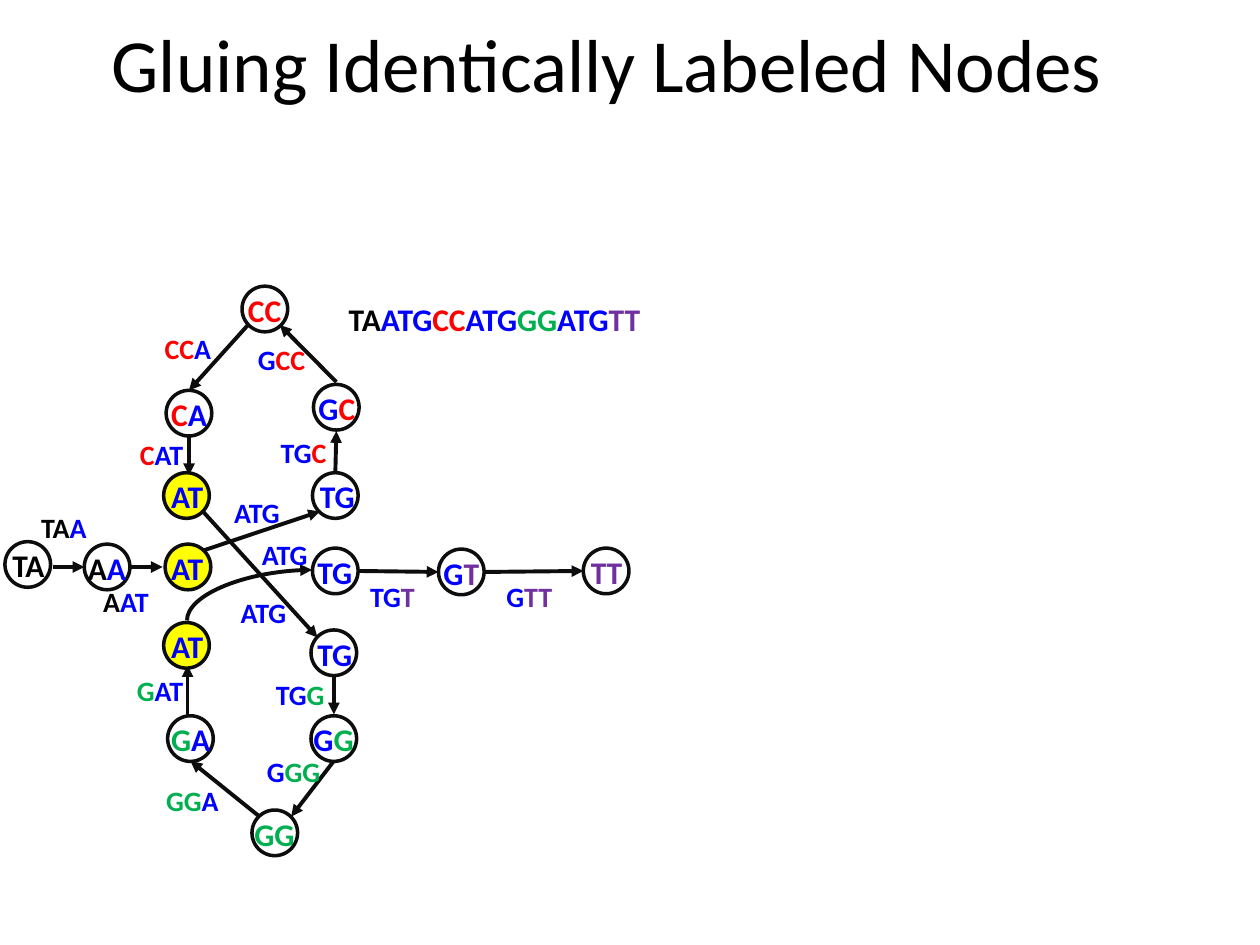
import itertools

import pptx
import pptx.dml.color
import pptx.enum.shapes
import pptx.enum.text
import pptx.oxml
import pptx.oxml.ns
import pptx.util

Cm = pptx.util.Cm
Pt = pptx.util.Pt
RGBColor = pptx.dml.color.RGBColor

BLACK = RGBColor(0x00, 0x00, 0x00)
INK = RGBColor(0x0D, 0x0D, 0x0D)
BLUE = RGBColor(0x00, 0x00, 0xFF)
RED = RGBColor(0xFF, 0x00, 0x00)
GREEN = RGBColor(0x00, 0xB0, 0x50)
PURPLE = RGBColor(0x70, 0x30, 0xA0)
YELLOW = RGBColor(0xFF, 0xFF, 0x00)
COLORS = {"k": BLACK, "b": BLUE, "r": RED, "g": GREEN, "p": PURPLE}

FONT = "Calibri"
NODE_SIZE = 0.92
NODE_FORMAT = {"name": FONT, "size": Pt(18), "bold": True}
EDGE_FORMAT = {"name": FONT, "size": Pt(16), "bold": True}
TITLE_FORMAT = {"name": FONT, "size": Pt(42.9), "bold": False}

# text, colour of each letter, circle left, circle top, text left, text width, fill
NODES = [
    ("TA", "kk", 0.1, 10.92, 0, 1.22, None),
    ("AA", "kb", 1.7, 10.97, 1.52, 1.3, None),
    ("AT", "bb", 3.33, 10.97, 3.2, 1.22, YELLOW),
    ("TG", "bb", 6.3, 9.53, 6.2, 1.24, None),
    ("GC", "br", 6.32, 7.75, 6.17, 1.27, None),
    ("CC", "rr", 4.88, 5.77, 4.75, 1.19, None),
    ("CA", "rb", 3.35, 7.87, 3.2, 1.24, None),
    ("AT", "bb", 3.3, 9.53, 3.2, 1.22, YELLOW),
    ("TG", "bb", 6.27, 12.7, 6.15, 1.24, None),
    ("GG", "bg", 6.27, 14.43, 6.07, 1.32, None),
    ("GG", "gg", 5.08, 16.33, 4.88, 1.32, None),
    ("GA", "gb", 3.38, 14.43, 3.2, 1.32, None),
    ("AT", "bb", 3.3, 12.55, 3.2, 1.22, YELLOW),
    ("TG", "bb", 6.3, 11.05, 6.15, 1.24, None),
    ("GT", "bp", 8.84, 11.07, 8.69, 1.24, None),
    ("TT", "pp", 11.76, 11.05, 11.66, 1.14, None),
]

# text, colour of each letter, left, top, width
EDGE_LABELS = [
    ("TAA", "kkb", 0.58, 10.16, 1.5),
    ("AAT", "kbb", 1.83, 11.66, 1.5),
    ("ATG", "bbb", 4.47, 9.86, 1.5),
    ("TGC", "bbr", 5.41, 8.66, 1.47),
    ("GCC", "brr", 4.95, 6.78, 1.47),
    ("CCA", "rrb", 3.07, 6.55, 1.47),
    ("CAT", "rbb", 2.57, 8.69, 1.45),
    ("ATG", "bbb", 4.6, 11.89, 1.5),
    ("TGG", "bbg", 5.31, 13.54, 1.52),
    ("GGG", "bgg", 5.13, 15.09, 1.6),
    ("GGA", "ggb", 3.1, 15.67, 1.6),
    ("GAT", "gbb", 2.51, 13.46, 1.5),
    ("ATG", "bbb", 5.03, 10.72, 1.5),
    ("TGT", "bbp", 7.21, 11.56, 1.45),
    ("GTT", "bpp", 9.96, 11.56, 1.45),
]

EDGES = [
    (1.07, 11.43, 1.7, 11.43),
    (2.64, 11.43, 3.28, 11.43),
    (4.09, 11.1, 6.45, 10.31),
    (6.76, 9.53, 6.78, 8.69),
    (6.78, 7.7, 5.64, 6.55),
    (5, 6.55, 3.81, 7.87),
    (3.81, 8.81, 3.81, 9.58),
    (4.09, 10.31, 6.4, 12.85),
    (6.73, 13.64, 6.73, 14.4),
    (6.73, 15.34, 5.87, 16.46),
    (5.23, 16.46, 3.84, 15.34),
    (3.78, 14.43, 3.78, 13.41),
    (7.21, 11.51, 8.84, 11.53),
    (9.75, 11.53, 11.76, 11.51),
]


def set_format(target, values):
    for name, value in values.items():
        setattr(target, name, value)


def add_title(s, text):
    sp = s.shapes.title
    set_format(sp, {"left": Cm(1.32), "top": Cm(0.2), "width": Cm(22.86), "height": Cm(2.11)})
    tf = sp.text_frame
    set_format(tf, {
        "text": text,
        "word_wrap": True,
        "auto_size": pptx.enum.text.MSO_AUTO_SIZE.NONE,
        "vertical_anchor": pptx.enum.text.MSO_ANCHOR.MIDDLE,
        "margin_right": Cm(1.3),
    })
    p = tf.paragraphs[0]
    p.alignment = pptx.enum.text.PP_ALIGN.CENTER
    r = p.runs[0]
    set_format(r.font, TITLE_FORMAT)
    r.font.color.rgb = BLACK


def add_sequence(s, text, colors, left, top, width, height, font_format):
    tf = s.shapes.add_textbox(Cm(left), Cm(top), Cm(width), Cm(height)).text_frame
    tf.word_wrap = False
    tf.auto_size = pptx.enum.text.MSO_AUTO_SIZE.SHAPE_TO_FIT_TEXT
    p = tf.paragraphs[0]
    for color, letters in itertools.groupby(zip(text, colors), key=lambda pair: pair[1]):
        r = p.add_run()
        r.text = "".join(letter for letter, _ in letters)
        set_format(r.font, font_format)
        r.font.color.rgb = COLORS[color]


def add_node(s, text, colors, left, top, text_left, text_width, fill):
    sp = s.shapes.add_shape(pptx.enum.shapes.MSO_SHAPE.OVAL,
                            Cm(left), Cm(top), Cm(NODE_SIZE), Cm(NODE_SIZE))
    sp.shadow.inherit = False
    if fill is None:
        sp.fill.background()
    else:
        sp.fill.solid()
        sp.fill.fore_color.rgb = fill
    sp.line.color.rgb = INK
    sp.line.width = Pt(2)
    add_sequence(s, text, colors, text_left, top - 0.03, text_width, 1.02, NODE_FORMAT)


def add_edge(s, x1, y1, x2, y2, kind=pptx.enum.shapes.MSO_CONNECTOR.STRAIGHT):
    c = s.shapes.add_connector(kind, Cm(x1), Cm(y1), Cm(x2), Cm(y2))
    c.line.color.rgb = INK
    c.line.width = Pt(2.25)
    tail = pptx.oxml.ns.qn("a:tailEnd")
    ln = c.line._get_or_add_ln()
    ln.append(ln.makeelement(tail, {"type": "triangle"}))
    sp_pr = c._element.spPr
    sp_pr.append(sp_pr.makeelement(pptx.oxml.ns.qn("a:effectLst"), {}))
    return c


def add_quarter_curve(s, x1, y1, x2, y2):
    c = add_edge(s, x1, y1, x2, y2, pptx.enum.shapes.MSO_CONNECTOR.CURVE)
    sp_pr = c._element.spPr
    sp_pr.find(pptx.oxml.ns.qn("a:prstGeom")).set("prst", "curvedConnector2")
    sp_pr.find(pptx.oxml.ns.qn("a:xfrm")).set("rot", "5400000")


def main():
    prs = pptx.Presentation()
    prs.slide_width = Cm(25.4)
    prs.slide_height = Cm(19.05)
    s = prs.slides.add_slide(prs.slide_layouts[5])
    add_title(s, "Gluing Identically Labeled Nodes")
    for edge in EDGES:
        add_edge(s, *edge)
    add_quarter_curve(s, 5.54, 13.26, 4.52, 10.74)
    for label in EDGE_LABELS:
        add_sequence(s, *label, 0.94, EDGE_FORMAT)
    for node in NODES:
        add_node(s, *node)
    add_sequence(s, "TAATGCCATGGGATGTT", "kkbbbrrbbbggbbbpp"[:0] + "kk" + "bbb" + "rr" + "bbb" + "gg" + "bbb" + "pp",
                 6.78, 5.92, 6.68, 1.02, NODE_FORMAT)
    prs.save("out.pptx")


if __name__ == "__main__":
    main()
